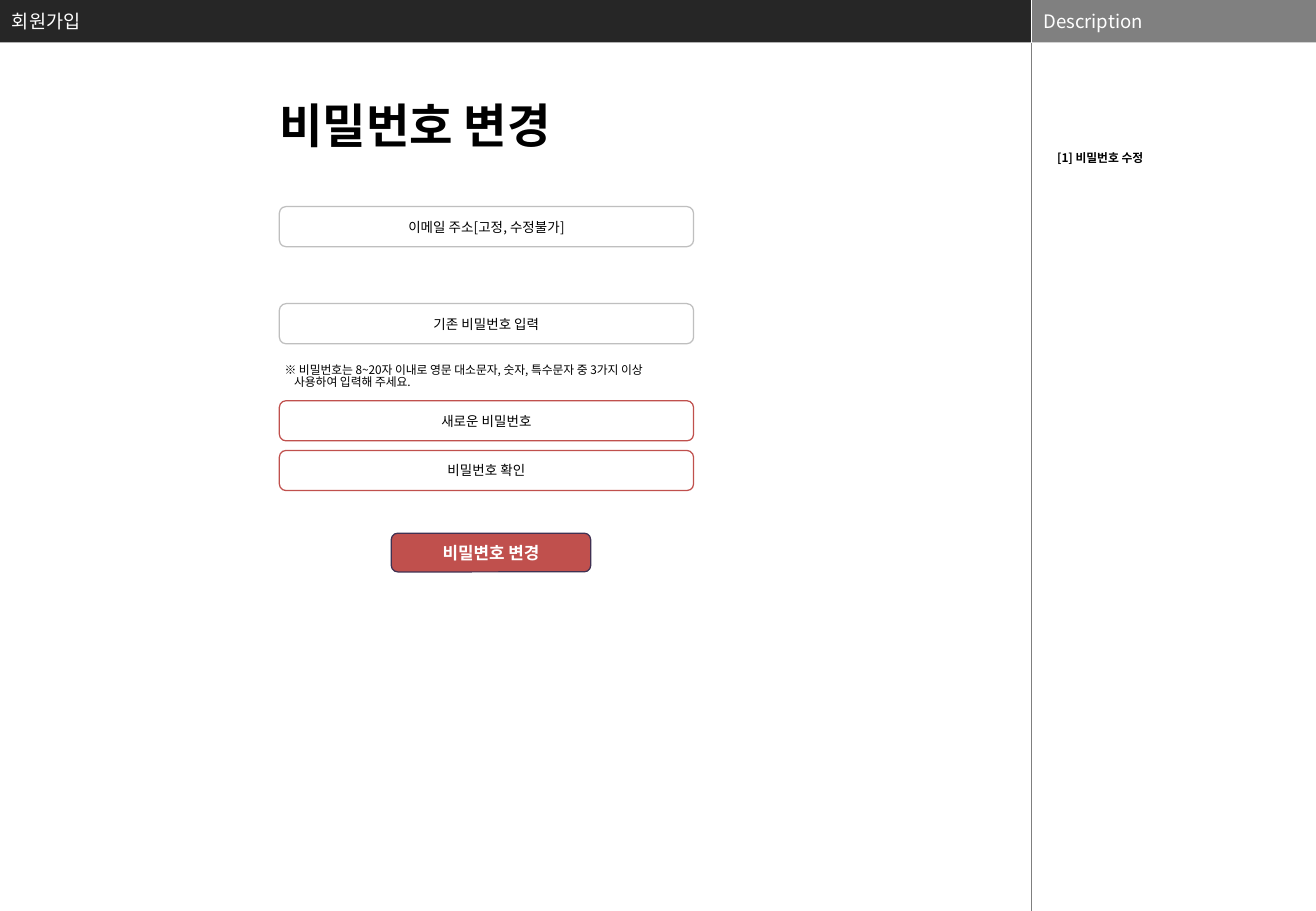
from pptx import Presentation
from pptx.dml.color import RGBColor
from pptx.enum.shapes import MSO_CONNECTOR, MSO_SHAPE
from pptx.enum.text import MSO_ANCHOR, PP_ALIGN
from pptx.oxml.ns import qn
from pptx.util import Cm, Pt
from lxml.etree import SubElement


class Theme:
    font = "Noto Sans CJK KR"
    black, white = "000000", "FFFFFF"
    dark, grey, rule, pale = "262626", "808080", "7F7F7F", "BFBFBF"
    red, plum = "C0504D", "403152"
    title, head, button, field, small = 28, 11, 10, 8, 7
    thin, edge = 0.25, 0.75


def write(shape, text, size, color=Theme.black, bold=False, center=False,
          middle=True, wrap=True, side=0.25, top=0.13, space=None, indent=0):
    """Fill the shape with one paragraph per line; indent applies after the first."""
    frame = shape.text_frame
    frame.text = text
    frame.word_wrap = wrap
    frame.vertical_anchor = MSO_ANCHOR.MIDDLE if middle else MSO_ANCHOR.TOP
    frame.margin_left = frame.margin_right = Cm(side)
    frame.margin_top = frame.margin_bottom = Cm(top)
    for i, para in enumerate(frame.paragraphs):
        para.alignment = PP_ALIGN.CENTER if center else PP_ALIGN.LEFT
        if space:
            para.line_spacing = space
        if i and indent:
            para._p.get_or_add_pPr().set("marL", str(Cm(indent)))
        for run in para.runs:
            run.font.size, run.font.bold = Pt(size), bold
            run.font.color.rgb = RGBColor.from_string(color)
            run.font.name = Theme.font
            SubElement(run._r.rPr, qn("a:ea")).set("typeface", Theme.font)


def block(kind, box, fill, line=None):
    """Draw a filled shape, with an outline if a line colour is given."""
    shape = slide.shapes.add_shape(kind, *map(Cm, box))
    shape.shadow.inherit = False
    shape.fill.solid()
    shape.fill.fore_color.rgb = RGBColor.from_string(fill)
    if line:
        shape.line.color.rgb = RGBColor.from_string(line)
        shape.line.width = Pt(Theme.edge)
    else:
        shape.line.fill.background()
    return shape


deck = Presentation()
wide, high = 27.51, 19.05
deck.slide_width, deck.slide_height = Cm(wide), Cm(high)
slide = deck.slides.add_slide(deck.slide_layouts[6])

# Header bars
split, bar = 21.56, 0.89
for text, left, width, fill in (
    ("회원가입", 0, split, Theme.dark),
    ("Description", split, wide - split, Theme.grey),
):
    head = block(MSO_SHAPE.RECTANGLE, (left, 0, width, bar), fill)
    write(head, text, Theme.head, color=Theme.white)

# Line between screen and description
for start, end, color in ((0, bar, Theme.white), (bar, high, Theme.rule)):
    line = slide.shapes.add_connector(
        MSO_CONNECTOR.STRAIGHT, Cm(split), Cm(start), Cm(split), Cm(end))
    line.line.color.rgb = RGBColor.from_string(color)
    line.line.width = Pt(Theme.thin)
    SubElement(line._element.spPr, qn("a:effectLst"))

# Description, title and password hint
notes = (
    ("[1] 비밀번호 수정", (22.02, 3.15, 4.85, 14.2),
     dict(size=Theme.small, bold=True, middle=False, side=0.08, top=0)),
    ("비밀번호 변경", (5.59, 1.88, 9.8, 1.45),
     dict(size=Theme.title, bold=True)),
    ("※ 비밀번호는 8~20자 이내로 영문 대소문자, 숫자, 특수문자 중 3가지 이상\n"
     "사용하여 입력해 주세요.", (5.64, 7.52, 9.32, 0.86),
     dict(size=Theme.small, middle=False, side=0.31, space=0.81, indent=0.2)),
)
for text, box, style in notes:
    write(slide.shapes.add_textbox(*map(Cm, box)), text, **style)

# Input fields
inner = dict(center=True, wrap=False, side=0.1, top=0.1)
for text, top, edge in (
    ("이메일 주소[고정, 수정불가]", 4.32, Theme.pale),
    ("기존 비밀번호 입력", 6.35, Theme.pale),
    ("새로운 비밀번호", 8.38, Theme.red),
    ("비밀번호 확인", 9.42, Theme.red),
):
    field = block(MSO_SHAPE.ROUNDED_RECTANGLE, (5.84, top, 8.66, 0.84),
                  Theme.white, edge)
    write(field, text, Theme.field, **inner)

# Submit button
button = block(MSO_SHAPE.ROUNDED_RECTANGLE, (8.18, 11.15, 4.17, 0.81),
               Theme.red, Theme.plum)
write(button, "비밀변호 변경", Theme.button, color=Theme.white, bold=True, **inner)

deck.save("out.pptx")
